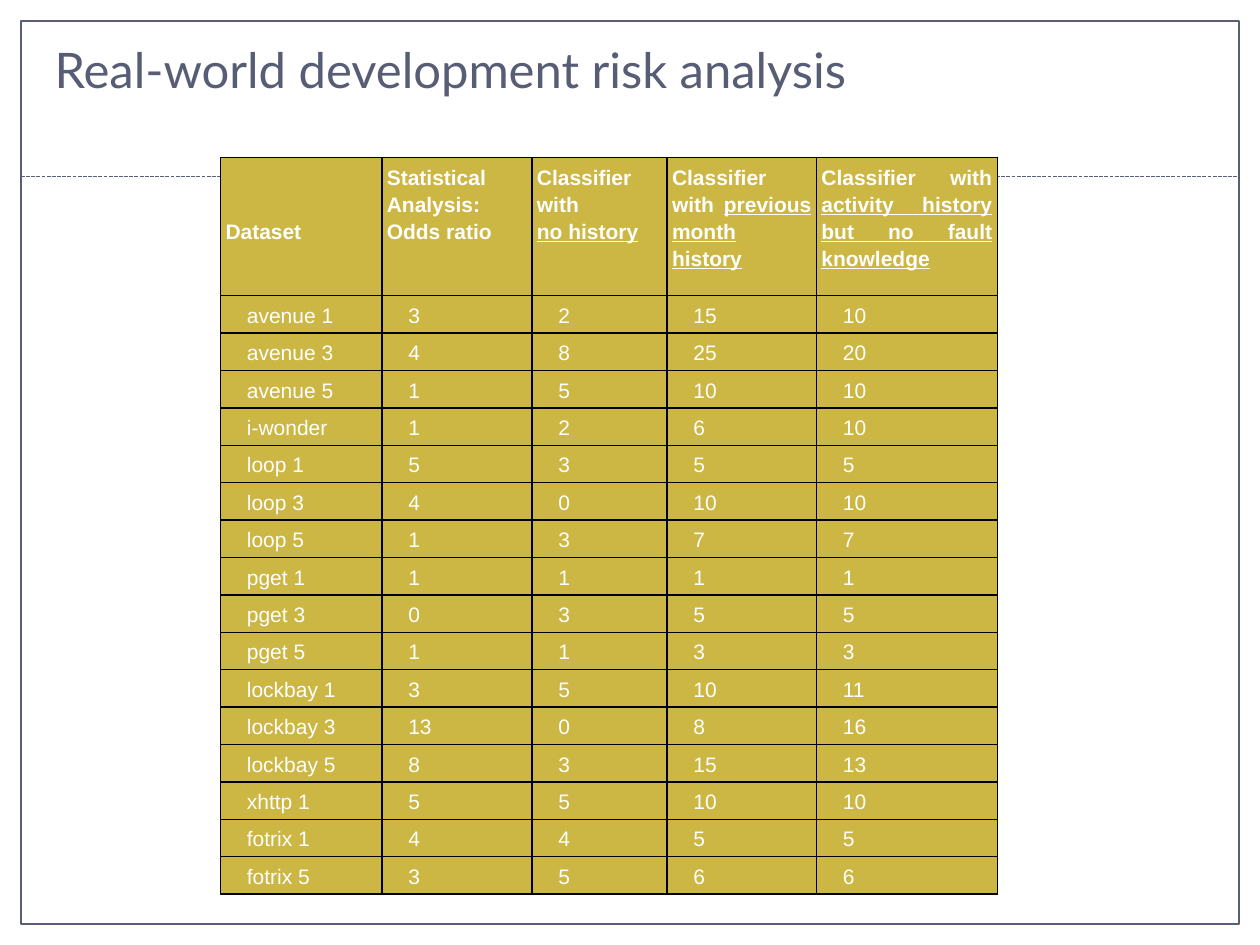
import lxml.etree
import pptx
import pptx.dml.color
import pptx.enum.dml
import pptx.enum.shapes
import pptx.enum.text
import pptx.oxml
import pptx.oxml.ns
import pptx.util

Pt = pptx.util.Pt
RGBColor = pptx.dml.color.RGBColor

SLATE = RGBColor(0x58, 0x5E, 0x76)
TITLE_SLATE = RGBColor(0x57, 0x5D, 0x75)
GOLD = RGBColor(0xCC, 0xB6, 0x44)
WHITE = RGBColor(0xFF, 0xFF, 0xFF)
BLACK = RGBColor(0x00, 0x00, 0x00)

INSET = 2.88
BODY_INDENT = 12.24
HEADER_HEIGHT = 79
ROW_HEIGHT = 21.4
COLUMN_WIDTHS = [92.2, 85.8, 77.2, 85.4, 103.4]

HEADINGS = [
    [("Dataset", "")],
    [("Statistical Analysis:", ""), ("Odds ratio", "")],
    [("Classifier with", ""), ("", "no history")],
    [("Classifier with ", "previous month history")],
    [("Classifier with ", "activity history but no fault knowledge")],
]
RESULTS = [
    ("avenue 1", 3, 2, 15, 10),
    ("avenue 3", 4, 8, 25, 20),
    ("avenue 5", 1, 5, 10, 10),
    ("i-wonder", 1, 2, 6, 10),
    ("loop 1", 5, 3, 5, 5),
    ("loop 3", 4, 0, 10, 10),
    ("loop 5", 1, 3, 7, 7),
    ("pget 1", 1, 1, 1, 1),
    ("pget 3", 0, 3, 5, 5),
    ("pget 5", 1, 1, 3, 3),
    ("lockbay 1", 3, 5, 10, 11),
    ("lockbay 3", 13, 0, 8, 16),
    ("lockbay 5", 8, 3, 15, 13),
    ("xhttp 1", 5, 5, 10, 10),
    ("fotrix 1", 4, 4, 5, 5),
    ("fotrix 5", 3, 5, 6, 6),
]


def add_frame(slide, left, top, width, height):
    """Draw the page border and its dashed divider."""
    border = slide.shapes.add_shape(
        pptx.enum.shapes.MSO_SHAPE.RECTANGLE, Pt(left), Pt(top), Pt(width), Pt(height))
    border.shadow.inherit = False
    border.fill.background()
    divider_top = Pt(top + 88.8)
    divider = slide.shapes.add_connector(
        pptx.enum.shapes.MSO_CONNECTOR.STRAIGHT,
        Pt(left), divider_top, Pt(left + width), divider_top)
    lxml.etree.SubElement(divider._element.spPr, pptx.oxml.ns.qn("a:effectLst"))
    for outline in (border.line, divider.line):
        outline.color.rgb = SLATE
        outline.width = Pt(0.75)
    divider.line.dash_style = pptx.enum.dml.MSO_LINE.SQUARE_DOT


def add_title(slide, left, top, width, height):
    """Fill and place the title placeholder."""
    title = slide.shapes.title
    title.left, title.top, title.width, title.height = map(Pt, (left, top, width, height))
    title.text_frame.text = "Real-world development risk analysis"
    title.text_frame.vertical_anchor = pptx.enum.text.MSO_ANCHOR.BOTTOM
    heading = title.text_frame.paragraphs[0]
    heading.alignment = pptx.enum.text.PP_ALIGN.LEFT
    heading.font.name = "Lato"
    heading.font.size = Pt(28)
    heading.font.color.rgb = TITLE_SLATE


def add_borders(cell):
    """Give a cell thin black borders on all four sides."""
    properties = cell._tc.get_or_add_tcPr()
    for index, side in enumerate(("lnL", "lnR", "lnT", "lnB")):
        properties.insert(index, pptx.oxml.parse_xml(
            f'<a:{side} {pptx.oxml.ns.nsdecls("a")} w="{Pt(1)}"><a:solidFill>'
            f'<a:srgbClr val="{BLACK}"/></a:solidFill></a:{side}>'))


def fill_cell(cell, lines, bold=False, indent=0):
    """Write lines of plain and underlined text into a formatted cell."""
    cell.fill.solid()
    cell.fill.fore_color.rgb = GOLD
    add_borders(cell)
    cell.margin_left = cell.margin_right = cell.margin_top = cell.margin_bottom = Pt(INSET)
    for index, (plain, underlined) in enumerate(lines):
        frame = cell.text_frame
        line = frame.add_paragraph() if index else frame.paragraphs[0]
        line.alignment = pptx.enum.text.PP_ALIGN.JUSTIFY
        line.line_spacing = 1.15
        line.font.name = "Arial"
        line.font.size = Pt(12)
        line.font.bold = bold
        line.font.color.rgb = WHITE
        line._p.get_or_add_pPr().set("indent", str(Pt(indent)))
        if plain:
            line.add_run().text = plain
        if underlined:
            emphasis = line.add_run()
            emphasis.text = underlined
            emphasis.font.underline = True


def add_results_table(slide, left, top):
    """Build the table of results for each dataset."""
    height = HEADER_HEIGHT + ROW_HEIGHT * len(RESULTS)
    results = slide.shapes.add_table(
        len(RESULTS) + 1, len(HEADINGS),
        Pt(left), Pt(top), Pt(sum(COLUMN_WIDTHS)), Pt(height)).table
    results.first_row = results.horz_banding = False
    for column, width in zip(results.columns, COLUMN_WIDTHS):
        column.width = Pt(width)
    for index, row in enumerate(results.rows):
        row.height = Pt(ROW_HEIGHT if index else HEADER_HEIGHT)
    for column, lines in enumerate(HEADINGS):
        fill_cell(results.cell(0, column), lines, bold=True)
    results.cell(0, 0).margin_top = Pt(INSET + 31)
    for row, values in enumerate(RESULTS, start=1):
        for column, value in enumerate(values):
            fill_cell(results.cell(row, column), [(str(value), "")], indent=BODY_INDENT)


def main():
    """Build the slide and save it."""
    deck = pptx.Presentation()
    deck.slide_width, deck.slide_height = Pt(720), Pt(540)
    slide = deck.slides.add_slide(deck.slide_layouts[5])
    add_frame(slide, 12, 12, 696, 516)
    add_title(slide, 24, 18, 672, 42)
    add_results_table(slide, 126, 90)
    deck.save("out.pptx")


if __name__ == "__main__":
    main()
